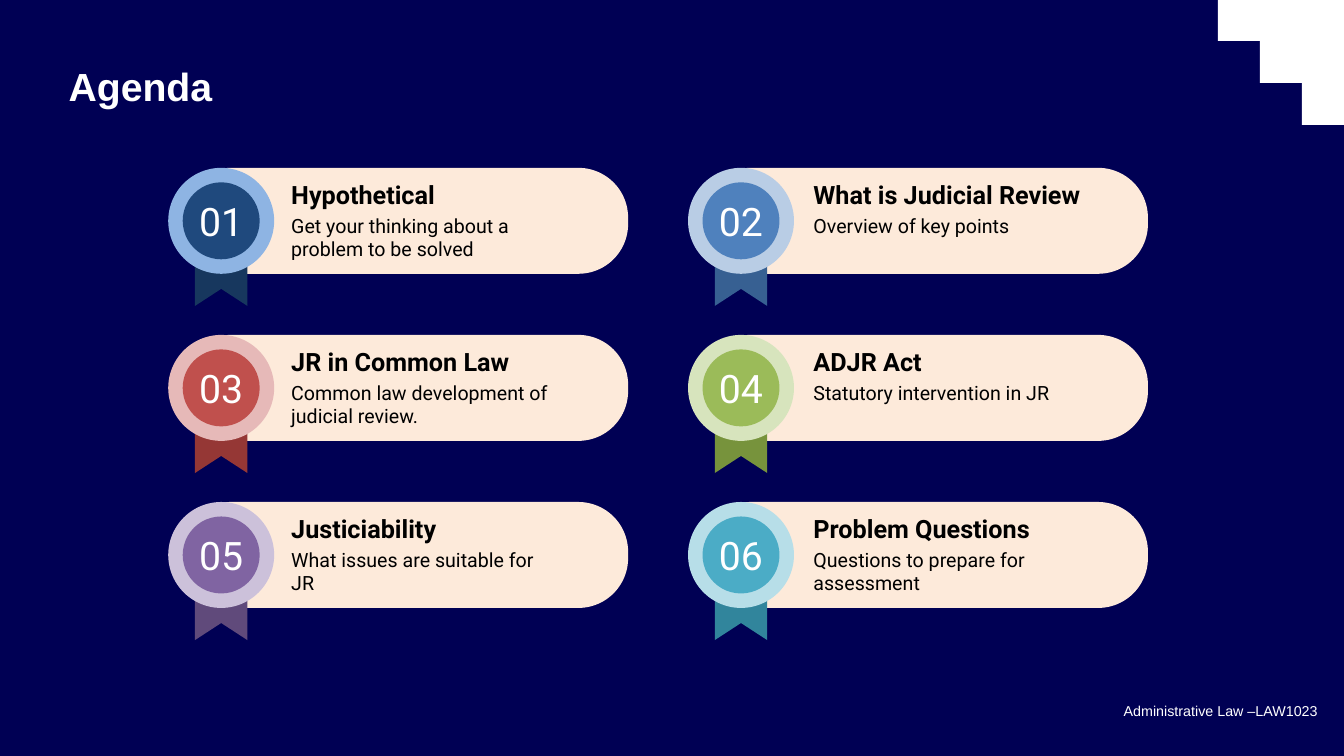
from pptx import Presentation
from pptx.dml.color import RGBColor
from pptx.enum.shapes import MSO_SHAPE
from pptx.enum.text import MSO_ANCHOR, PP_ALIGN
from pptx.util import Cm, Pt

OVAL, ROUNDED = MSO_SHAPE.OVAL, MSO_SHAPE.ROUNDED_RECTANGLE
TOP, MIDDLE = MSO_ANCHOR.TOP, MSO_ANCHOR.MIDDLE
CENTER = PP_ALIGN.CENTER

TITLE = "Agenda"
FOOTER = "Administrative Law –LAW1023"
NAVY, WHITE, BLACK, CREAM = "000054", "FFFFFF", "000000", "FDEADA"

# heading, description, ribbon colour, ring colour, disc colour
ITEMS = [
    ("Hypothetical", "Get your thinking about a problem to be solved",
     "17375E", "8EB4E3", "1F497D"),
    ("What is Judicial Review", "Overview of key points",
     "376092", "B9CDE5", "4F81BD"),
    ("JR in Common Law", "Common law development of judicial review.",
     "953735", "E6B9B8", "C0504D"),
    ("ADJR Act", "Statutory intervention in JR",
     "77933C", "D7E4BD", "9BBB59"),
    ("Justiciability", "What issues are suitable for JR",
     "604A7B", "CCC1DA", "8064A2"),
    ("Problem Questions", "Questions to prepare for assessment",
     "31859C", "B7DEE8", "4BACC6"),
]

# Grid, in centimetres
BADGE_X = (4.24, 17.34)
TEXT_X = (7.34, 20.5)
FIRST_Y, ROW_PITCH = 4.23, 4.21
BADGE, DISC = 2.67, 1.94
CARD_INSET, CARD_W = 0.33, 11.26
RIBBON_W, RIBBON_H, NOTCH = 1.32, 1.26, 0.43
RIBBON_DY = 2.22
STEP = 1.06

prs = Presentation()
prs.slide_width, prs.slide_height = Cm(33.87), Cm(19.05)
s = prs.slides.add_slide(prs.slide_layouts[6])


def rgb(value):
    return RGBColor.from_string(value)


def paint(sp, color):
    sp.shadow.inherit = False
    sp.fill.solid()
    sp.fill.fore_color.rgb = rgb(color)
    sp.line.fill.background()
    return sp


def shape(kind, x, y, w, h, color):
    return paint(s.shapes.add_shape(kind, Cm(x), Cm(y), Cm(w), Cm(h)), color)


def polygon(points, color):
    points = [(Cm(x), Cm(y)) for x, y in points]
    builder = s.shapes.build_freeform(*points[0])
    builder.add_line_segments(points[1:], close=True)
    return paint(builder.convert_to_shape(), color)


def write(sp, text, size, color, font="Roboto", bold=False, anchor=TOP, wrap=True):
    tf = sp.text_frame
    tf.margin_left = tf.margin_right = tf.margin_top = tf.margin_bottom = 0
    tf.word_wrap, tf.vertical_anchor = wrap, anchor
    p = tf.paragraphs[0]
    p.text = text
    p.font.size, p.font.name, p.font.bold = Pt(size), font, bold
    p.font.color.rgb = rgb(color)
    return p


def label(x, y, w, h, *args, **kwargs):
    return write(s.shapes.add_textbox(Cm(x), Cm(y), Cm(w), Cm(h)), *args, **kwargs)


# Background and corner staircase
s.background.fill.solid()
s.background.fill.fore_color.rgb = rgb(NAVY)
right = 33.87
stairs = [(right, 0)]
for i in range(3):
    x = right - (3 - i) * STEP
    stairs += [(x, i * STEP - 0.03 if i else 0), (x, (i + 1) * STEP - 0.03)]
stairs.append((right, 3 * STEP - 0.03))
polygon(stairs, WHITE)

# Title and footer
p = label(1.73, 1.7, 22.15, 1.1, TITLE, 28, WHITE, font="Arial", bold=True)
p.line_spacing = 0.9
p = label(28.32, 17.63, 4.95, 0.53, FOOTER, 10.2, WHITE, font="Arial", wrap=False)
p.line_spacing = Pt(14.2)

# Agenda cards
for i, (heading, detail, ribbon, ring, disc) in enumerate(ITEMS):
    row, col = divmod(i, 2)
    x, y = BADGE_X[col], FIRST_Y + row * ROW_PITCH
    mid = x + BADGE / 2

    card = shape(ROUNDED, x + CARD_INSET, y, CARD_W, BADGE, CREAM)
    card.adjustments[0] = 0.47

    left, top = mid - RIBBON_W / 2, y + RIBBON_DY
    bottom = top + RIBBON_H
    polygon([(left, top), (left, bottom), (mid, bottom - NOTCH),
             (left + RIBBON_W, bottom), (left + RIBBON_W, top)], ribbon)

    shape(OVAL, x, y, BADGE, BADGE, ring)
    gap = (BADGE - DISC) / 2
    sp = shape(OVAL, x + gap, y + gap, DISC, DISC, disc)
    p = write(sp, f"{i + 1:02}", 28, WHITE, anchor=MIDDLE, wrap=False)
    p.alignment = CENTER

    label(TEXT_X[col], y + 0.29, 7.3, 0.76, heading, 18, BLACK,
          bold=True, anchor=MIDDLE)
    label(TEXT_X[col], y + 1.15, 6.5, 1.2, detail, 14, BLACK)

prs.save("out.pptx")
